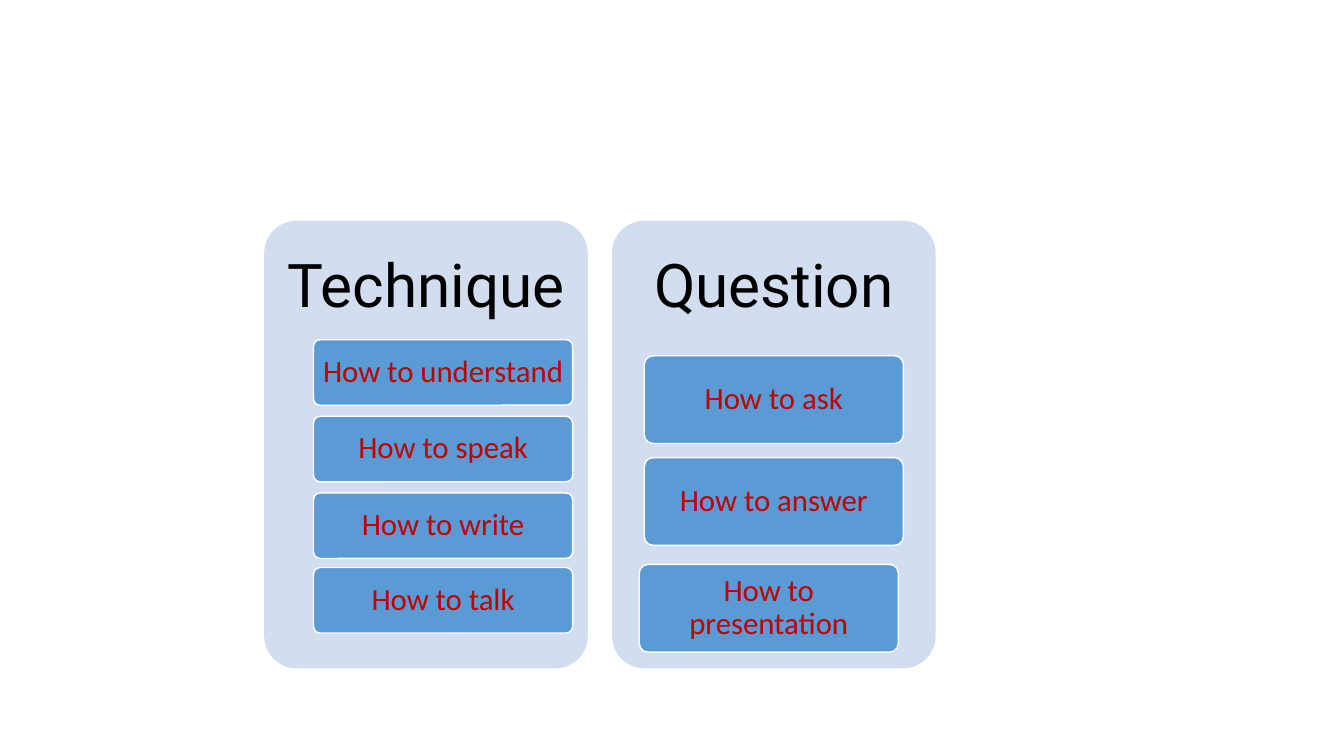
"""Build a slide with two panels of skill cards."""
from dataclasses import dataclass

from pptx import Presentation
from pptx.dml.color import RGBColor
from pptx.enum.shapes import MSO_SHAPE
from pptx.enum.text import MSO_ANCHOR, PP_ALIGN
from pptx.util import Inches, Pt

PANEL_BLUE = RGBColor(0xD2, 0xDE, 0xEF)
CARD_BLUE = RGBColor(0x5B, 0x9B, 0xD5)
CARD_RED = RGBColor(0xC0, 0x00, 0x00)
WHITE = RGBColor(0xFF, 0xFF, 0xFF)
BLACK = RGBColor(0x00, 0x00, 0x00)

PANEL_LEFT, PANEL_TOP = 2.62, 2.19
PANEL_WIDTH, PANEL_HEIGHT = 3.21, 4.44
PANEL_PITCH = 3.45
HEADING_SHARE = 0.3
CARD_WIDTH = 2.57


@dataclass(frozen=True)
class Style:
    fill: RGBColor
    outline: RGBColor | None
    font: str
    size: float
    color: RGBColor
    inset_x: float
    inset_y: float
    text_share: float = 1


@dataclass(frozen=True)
class Panel:
    heading: str
    cards: tuple[str, ...]
    indent: float
    first_top: float
    card_height: float
    row_pitch: float
    last_shift: tuple[float, float]


PANEL_STYLE = Style(PANEL_BLUE, None, "Roboto", 43, BLACK, 0.09, 0.09, HEADING_SHARE)
CARD_STYLE = Style(CARD_BLUE, WHITE, "Calibri", 22, CARD_RED, 0.06, 0.05)

PANELS = (
    Panel("Technique",
          ("How to understand", "How to speak", "How to write", "How to talk"),
          0.49, 3.37, 0.65, 0.76, (0, -0.02)),
    Panel("Question",
          ("How to ask", "How to answer", "How to presentation"),
          0.32, 3.53, 0.87, 1.01, (-0.05, 0.05)),
)


def add_box(shapes, left: float, top: float, width: float, height: float,
            text: str, style: Style) -> None:
    """Draw a rounded box with centred text in its upper share."""
    box = shapes.add_shape(MSO_SHAPE.ROUNDED_RECTANGLE, Inches(left), Inches(top),
                           Inches(width), Inches(height))
    box.adjustments[0] = 0.1
    box.shadow.inherit = False
    box.fill.solid()
    box.fill.fore_color.rgb = style.fill
    if style.outline is None:
        box.line.fill.background()
    else:
        box.line.color.rgb = style.outline
        box.line.width = Pt(1)

    frame = box.text_frame
    frame.word_wrap = True
    frame.vertical_anchor = MSO_ANCHOR.MIDDLE
    frame.margin_left = frame.margin_right = Inches(style.inset_x)
    frame.margin_top = Inches(style.inset_y)
    frame.margin_bottom = Inches(style.inset_y + height * (1 - style.text_share))

    paragraph = frame.paragraphs[0]
    paragraph.alignment = PP_ALIGN.CENTER
    paragraph.line_spacing = 0.9
    run = paragraph.add_run()
    run.text = text
    run.font.name = style.font
    run.font.size = Pt(style.size)
    run.font.color.rgb = style.color


def add_panel(shapes, column: int, panel: Panel) -> None:
    """Draw a headed panel and its column of cards."""
    left = PANEL_LEFT + column * PANEL_PITCH
    add_box(shapes, left, PANEL_TOP, PANEL_WIDTH, PANEL_HEIGHT,
            panel.heading, PANEL_STYLE)
    for row, text in enumerate(panel.cards):
        is_last = row == len(panel.cards) - 1
        shift_x, shift_y = panel.last_shift if is_last else (0, 0)
        add_box(shapes, left + panel.indent + shift_x,
                panel.first_top + row * panel.row_pitch + shift_y,
                CARD_WIDTH, panel.card_height, text, CARD_STYLE)


def main() -> None:
    """Build and save the slide."""
    presentation = Presentation()
    presentation.slide_width = Inches(13.33)
    presentation.slide_height = Inches(7.5)
    slide = presentation.slides.add_slide(presentation.slide_layouts[6])
    for column, panel in enumerate(PANELS):
        add_panel(slide.shapes, column, panel)
    presentation.save("out.pptx")


main()
